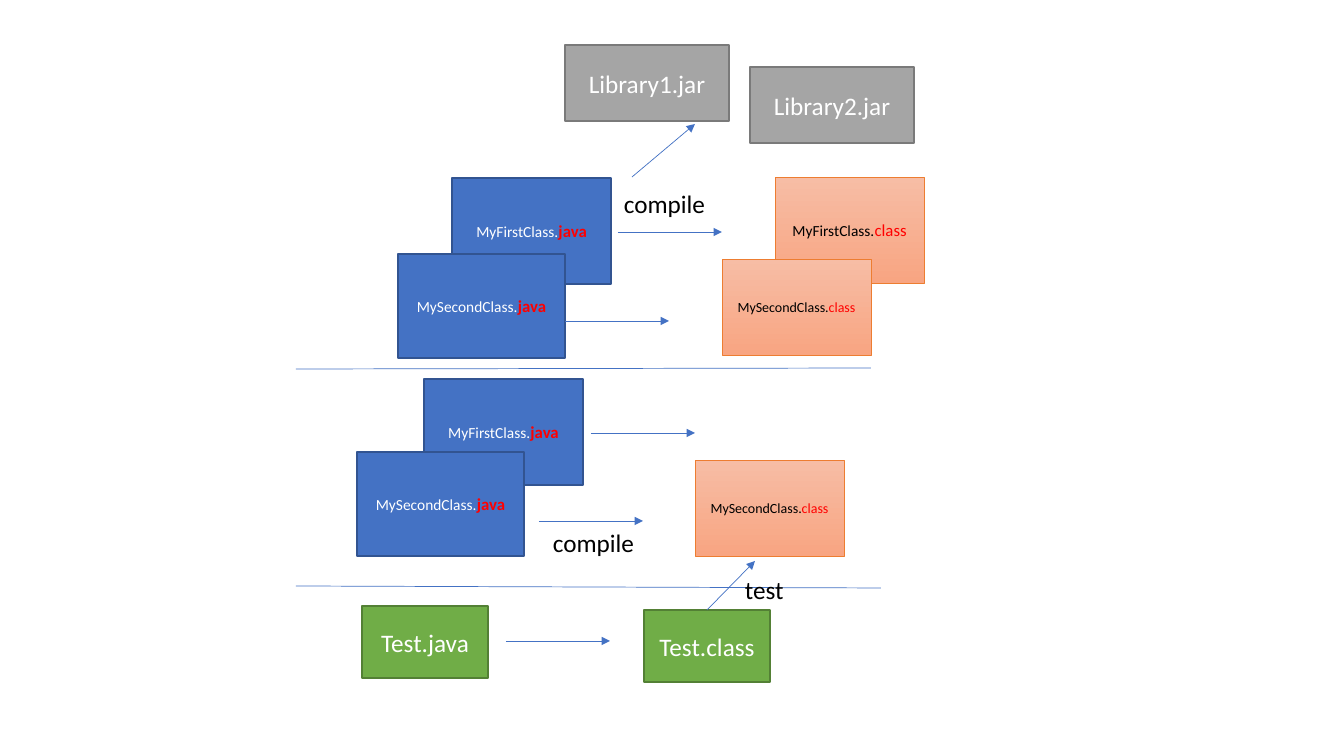
from lxml import etree
from pptx import Presentation
from pptx.dml.color import RGBColor
from pptx.enum.shapes import MSO_CONNECTOR, MSO_SHAPE
from pptx.enum.text import MSO_ANCHOR, PP_ALIGN
from pptx.oxml.ns import qn
from pptx.util import Emu, Pt

RECTANGLE = MSO_SHAPE.RECTANGLE
STRAIGHT = MSO_CONNECTOR.STRAIGHT
MIDDLE = MSO_ANCHOR.MIDDLE
CENTER = PP_ALIGN.CENTER

PIXEL = 914400 / 100.8
FONT = "Calibri"
BLUE, WHITE, BLACK, RED = "4472C4", "FFFFFF", "000000", "FF0000"

# Content: box kinds with size, fill colours (two make a gradient), line colour and width, text colour
KINDS = {
    "first source": ((159, 106), (BLUE,), "325491", 1, WHITE),
    "second source": ((167, 104), (BLUE,), "325491", 1, WHITE),
    "first class": ((149, 106), ("F7BDA5", "F8A582"), "ED7D31", 0.5, BLACK),
    "second class": ((149, 96), ("F7BDA5", "F8A582"), "ED7D31", 0.5, BLACK),
    "test": ((126, 72), ("70AD47",), "538035", 1, WHITE),
    "library": ((164, 76), ("A5A5A5",), "7A7A7A", 1, WHITE),
}

# Runs are text, size, and whether it is a highlighted file extension
FILES = {
    "first source": [("MyFirstClass.", 11, False), ("java", 12, True)],
    "second source": [("MySecondClass.", 11, False), ("java", 12, True)],
    "first class": [("MyFirstClass.", 11, False), ("class", 12, True)],
    "second class": [("MySecondClass.", 10, False), ("class", 10, True)],
}

# Kind, left, top, and a name where the kind does not fix it; back to front
BOXES = [
    ("first source", 452, 178, None),
    ("second source", 398, 254, None),
    ("first class", 775, 177, None),
    ("second class", 722, 259, None),
    ("first source", 424, 379, None),
    ("second source", 357, 452, None),
    ("second class", 695, 460, None),
    ("test", 362, 606, "Test.java"),
    ("test", 644, 610, "Test.class"),
    ("library", 565, 45, "Library1.jar"),
    ("library", 750, 67, "Library2.jar"),
]

STEP_LENGTH = 104
STEP_STARTS = [(618, 232), (565, 321), (591, 433), (539, 521), (506, 641)]
USE_ARROWS = [(707, 610, 755, 561), (632, 177, 695, 124)]
DIVIDERS = [(296, 369, 871, 368), (296, 586, 881, 588)]
LABELS = [("compile", 614, 183, 113), ("test", 735, 569, 70), ("compile", 543, 522, 113)]


def px(*lengths):
    return [Emu(round(length * PIXEL)) for length in lengths]


def color(value):
    return RGBColor.from_string(value)


def write(paragraph, runs, text_color):
    paragraph.font.name = FONT
    for text, size, highlighted in runs:
        run = paragraph.add_run()
        run.text = text
        run.font.size = Pt(size)
        run.font.bold = highlighted and text == "java"
        run.font.color.rgb = color(RED if highlighted else text_color)


def add_box(kind, left, top, name):
    size, fills, line_color, line_width, text_color = KINDS[kind]
    shape = slide.shapes.add_shape(RECTANGLE, *px(left, top, *size))
    shape.shadow.inherit = False
    if len(fills) == 1:
        shape.fill.solid()
        shape.fill.fore_color.rgb = color(fills[0])
    else:
        shape.fill.gradient()
        shape.fill.gradient_angle = 270
        for stop, value in zip(shape.fill.gradient_stops, fills):
            stop.color.rgb = color(value)
    shape.line.color.rgb = color(line_color)
    shape.line.width = Pt(line_width)
    shape.text_frame.vertical_anchor = MIDDLE
    paragraph = shape.text_frame.paragraphs[0]
    paragraph.alignment = CENTER
    write(paragraph, FILES.get(kind) or [(name, 18, False)], text_color)


def add_line(ends, arrow):
    connector = slide.shapes.add_connector(STRAIGHT, *px(*ends))
    connector.line.color.rgb = color(BLUE)
    connector.line.width = Pt(0.5)
    if arrow:
        outline = connector.line._get_or_add_ln()
        etree.SubElement(outline, qn("a:tailEnd"), type="triangle")
    etree.SubElement(connector._element.spPr, qn("a:effectLst"))


presentation = Presentation()
presentation.slide_width, presentation.slide_height = px(1344, 756)
slide = presentation.slides.add_slide(presentation.slide_layouts[6])

# Files
for box in BOXES:
    add_box(*box)

# Arrows and dividers
steps = [(x, y, x + STEP_LENGTH, y) for x, y in STEP_STARTS]
for ends in steps + USE_ARROWS:
    add_line(ends, arrow=True)
for ends in DIVIDERS:
    add_line(ends, arrow=False)

# Labels
for text, left, top, width in LABELS:
    label = slide.shapes.add_textbox(*px(left, top, width, 40))
    label.text_frame.word_wrap = True
    write(label.text_frame.paragraphs[0], [(text, 18, False)], BLACK)

presentation.save("out.pptx")
